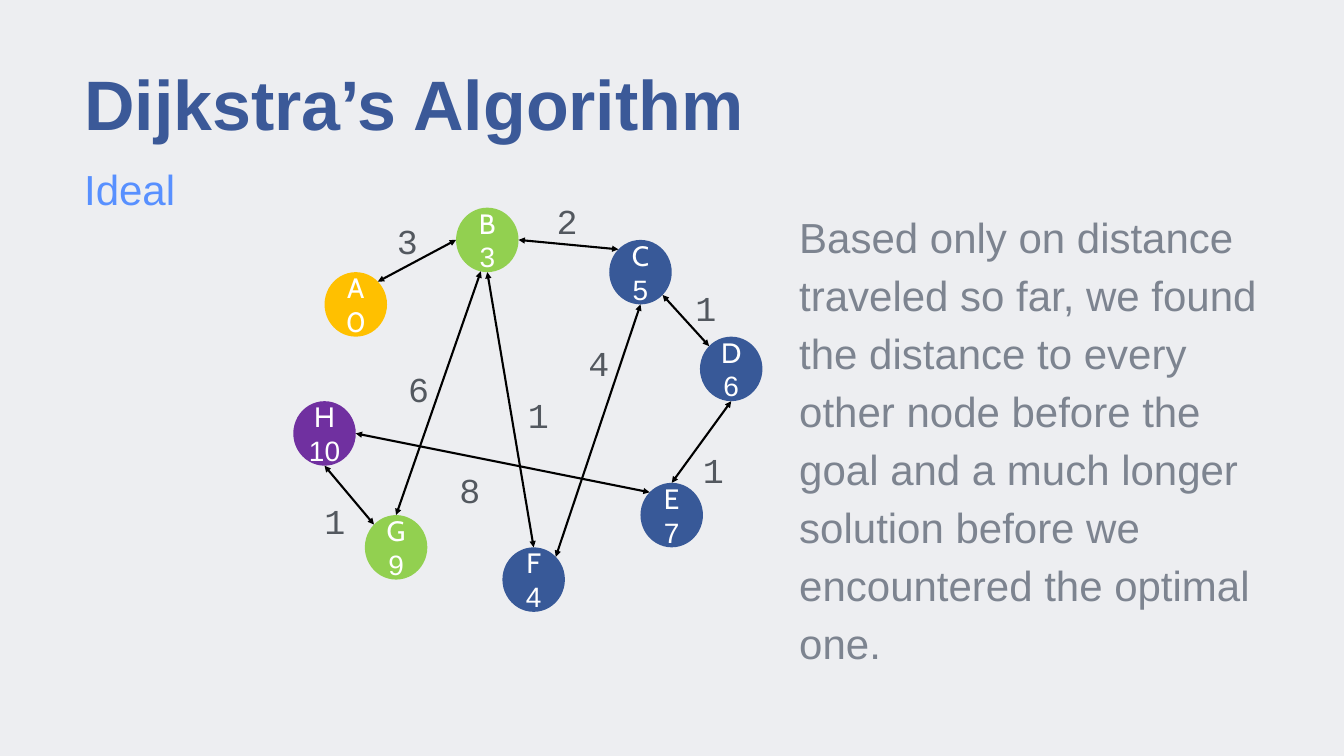
import math
from dataclasses import dataclass

from lxml import etree
from pptx import Presentation
from pptx.dml.color import RGBColor
from pptx.enum import shapes, text
from pptx.oxml.ns import qn
from pptx.util import Inches, Pt


@dataclass(frozen=True)
class Theme:
    background: str = "EDEEF1"
    title: str = "3B5998"
    subtitle: str = "5890FF"
    body: str = "7D8490"
    weight: str = "53585F"
    edge: str = "000000"
    node_text: str = "FFFFFF"
    start: str = "FFC000"
    first: str = "92D050"
    visited: str = "385998"
    goal: str = "7030A0"
    font: str = "Arial"
    node_font: str = "Cabin"
    weight_font: str = "Courier New"
    title_size: int = 100
    body_size: int = 60
    weight_size: int = 50
    node_size: int = 40
    edge_width: int = 3


T = Theme()
NODE_W, NODE_H = 1.24, 1.28
WEIGHT_W, WEIGHT_H = 0.77, 0.93

# Name: left and top within the graph, distance, fill, distance font
NODES = {
    "A": (0.62, 1.28, "0", T.start, T.node_font),
    "B": (3.23, 0, "3", T.first, T.font),
    "C": (6.27, 0.64, "5", T.visited, T.font),
    "D": (8.07, 2.56, "6", T.visited, T.font),
    "E": (6.89, 5.46, "7", T.visited, T.font),
    "F": (4.15, 6.74, "4", T.visited, T.font),
    "G": (1.42, 6.1, "9", T.first, T.font),
    "H": (0, 3.84, "10", T.goal, T.font),
}

# Two nodes, each with its clockwise angle from the right; weight and its place
EDGES = [
    ("A", -45, "B", 180, "3", 1.88, 0.12),
    ("B", 0, "C", -135, "2", 5.05, -0.28),
    ("C", 45, "D", -135, "1", 7.8, 1.46),
    ("D", 90, "E", -90, "1", 7.95, 4.66),
    ("B", 102, "G", -90, "6", 2.1, 3.07),
    ("B", 90, "F", -90, "1", 4.48, 3.57),
    ("G", -135, "H", 90, "1", 0.44, 5.69),
    ("F", -45, "C", 90, "4", 5.68, 2.55),
    ("H", 0, "E", -135, "8", 3.12, 5.06),
]

EXPLANATION = [
    "Based only on distance",
    "traveled so far, we found the distance to every",
    "other node before the",
    "goal and a much longer",
    "solution before we",
    "encountered the optimal one.",
]


def rgb(color):
    return RGBColor.from_string(color)


def write(sp, lines, fonts, size, color, align=None, spacing=None, inset=0, bold=False):
    """Fill a shape with one paragraph per line."""
    tf = sp.text_frame
    tf.word_wrap = True
    tf.auto_size = text.MSO_AUTO_SIZE.NONE
    tf.vertical_anchor = text.MSO_ANCHOR.MIDDLE
    tf.margin_left = tf.margin_right = tf.margin_top = tf.margin_bottom = Inches(inset)
    tf.text = "\n".join(lines)
    for p, font in zip(tf.paragraphs, fonts):
        p.alignment = align
        p.line_spacing = spacing
        p.font.name = font
        p.font.size = Pt(size)
        p.font.bold = bold
        p.font.color.rgb = rgb(color)


def add_text(s, box, lines, font, size, color, **style):
    sp = s.shapes.add_textbox(*map(Inches, box))
    write(sp, lines, [font] * len(lines), size, color, **style)


def add_heading(s, left, top, width):
    # Title
    title = s.shapes.title
    title.left, title.top, title.width, title.height = map(Inches, (left, top, width, 2.01))
    write(title, ["Dijkstra’s Algorithm"], [T.font], T.title_size, T.title,
          align=text.PP_ALIGN.LEFT, spacing=0.9, bold=True)
    # Subtitle
    add_text(s, (left, top + 2.05, width, 1.22), ["Ideal"], T.font, T.body_size,
             T.subtitle, spacing=0.9)


def add_node(s, left, top, name, distance, fill, distance_font):
    sp = s.shapes.add_shape(shapes.MSO_SHAPE.OVAL, Inches(left), Inches(top),
                            Inches(NODE_W), Inches(NODE_H))
    sp.shadow.inherit = False
    sp.fill.solid()
    sp.fill.fore_color.rgb = rgb(fill)
    sp.line.fill.background()
    write(sp, [name, distance], [T.node_font, distance_font], T.node_size, T.node_text,
          align=text.PP_ALIGN.CENTER, inset=0.08)


def rim_point(left, top, name, angle):
    """Point on a node's outline at the given angle."""
    x, y = NODES[name][:2]
    a = math.radians(angle)
    return (Inches(left + x + NODE_W / 2 * (1 + math.cos(a))),
            Inches(top + y + NODE_H / 2 * (1 + math.sin(a))))


def add_edge(s, start, end):
    line = s.shapes.add_connector(shapes.MSO_CONNECTOR.STRAIGHT, *start, *end)
    line.line.color.rgb = rgb(T.edge)
    line.line.width = Pt(T.edge_width)
    # Arrowheads at both ends, no shadow
    ln = line.line._get_or_add_ln()
    for tag in ("a:headEnd", "a:tailEnd"):
        etree.SubElement(ln, qn(tag), type="triangle")
    etree.SubElement(line._element.spPr, qn("a:effectLst"))


def add_graph(s, left, top):
    for name, (x, y, distance, fill, font) in NODES.items():
        add_node(s, left + x, top + y, name, distance, fill, font)
    for a, a_angle, b, b_angle, weight, x, y in EDGES:
        add_edge(s, rim_point(left, top, a, a_angle), rim_point(left, top, b, b_angle))
        add_text(s, (left + x, top + y, WEIGHT_W, WEIGHT_H), [weight], T.weight_font,
                 T.weight_size, T.weight, align=text.PP_ALIGN.CENTER, spacing=1.15)


def add_explanation(s, box):
    add_text(s, box, EXPLANATION, T.font, T.body_size, T.body, spacing=1.15)


def main():
    prs = Presentation()
    prs.slide_width, prs.slide_height = Inches(26.67), Inches(15)
    s = prs.slides.add_slide(prs.slide_layouts.get_by_name("Title Only"))
    s.background.fill.solid()
    s.background.fill.fore_color.rgb = rgb(T.background)

    add_heading(s, 1.67, 1.14, 23.33)
    add_graph(s, 5.82, 4.12)
    add_explanation(s, (15.86, 4.21, 9.98, 8.89))
    prs.save("out.pptx")


if __name__ == "__main__":
    main()
